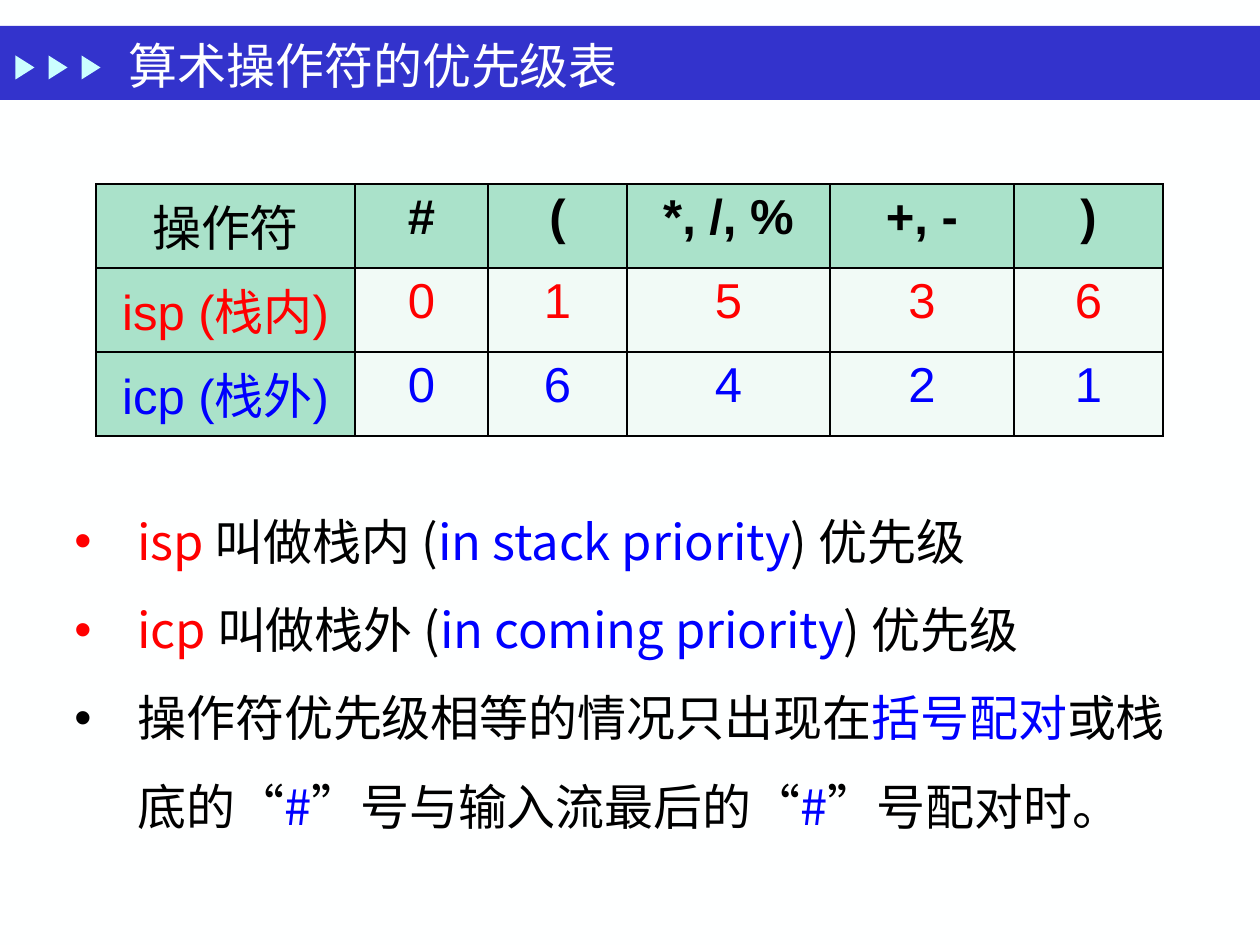
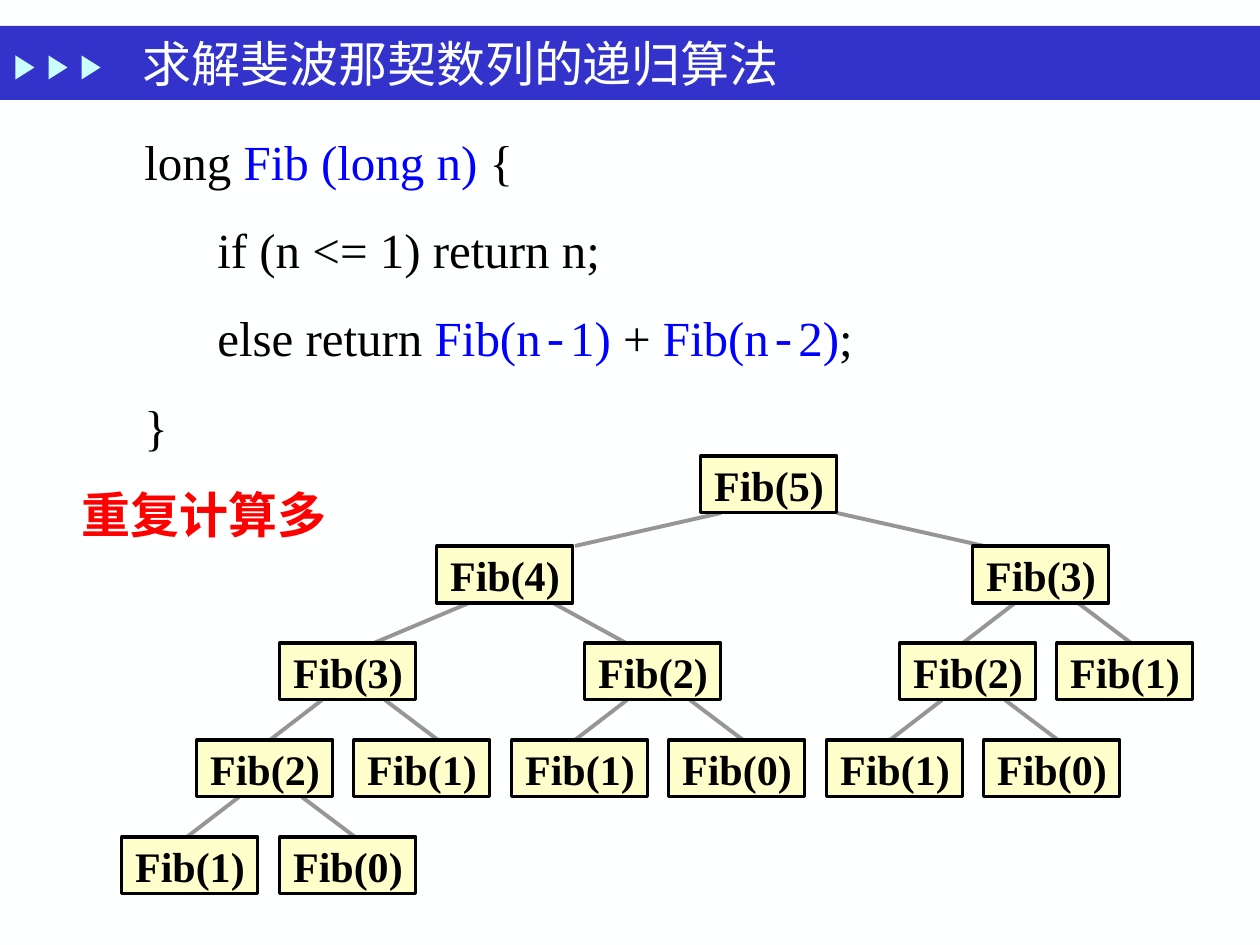
from pptx import Presentation
from pptx import util as u
from pptx.dml import color as c
from pptx.enum import shapes, text
from pptx.oxml import ns
from lxml import etree

COLORS = {"paper": "FEFFFF", "band": "3333CC", "arrow": "CBFFFF", "black": "000000",
          "red": "FF0000", "blue": "0000FF", "head": "AAE2CA", "cell": "F1FAF6",
          "node": "FFFFCC", "edge": "969696"}
RGB = {name: c.RGBColor.from_string(value) for name, value in COLORS.items()}
CJK, SERIF, SANS, MONO = "Noto Sans CJK SC", "Times New Roman", "Arial", "Courier New"
LINE_PITCH = u.Pt(50.4)


def px(*lengths):
    """Turn pixels (126 to the inch) into EMU."""
    values = [u.Emu(round(length * 914400 / 126)) for length in lengths]
    return values if len(values) > 1 else values[0]


def write(para, runs, font, size=28, bold=False):
    """Add runs given as (text, colour) or (text, colour, font)."""
    for words, ink, *own_font in runs:
        span = para.add_run()
        span.text = words
        formats = {"name": own_font[0] if own_font else font, "size": u.Pt(size), "bold": bold}
        for key, value in formats.items():
            setattr(span.font, key, value)
        span.font.color.rgb = RGB[ink]
        latin = span.font._element.find(ns.qn("a:latin"))
        east = etree.Element(ns.qn("a:ea"), typeface=CJK)
        latin.addnext(east)


deck = Presentation()
deck.slide_width, deck.slide_height = px(1260, 945)
layout = deck.slide_layouts[5]
backdrop = deck.slide_master.background.fill
backdrop.solid()
backdrop.fore_color.rgb = RGB["paper"]

# Both pages with their titles
pages = []
for title, left, top in [("算术操作符的优先级表", 116, 33), ("求解斐波那契数列的递归算法", 130, 31)]:
    page = deck.slides.add_slide(layout)
    box = page.shapes.title
    box.left, box.top, box.width, box.height = px(left, top, 1100, 63)
    frame = box.text_frame
    frame.auto_size = text.MSO_AUTO_SIZE.NONE
    frame.vertical_anchor = text.MSO_ANCHOR.MIDDLE
    frame.paragraphs[0].alignment = text.PP_ALIGN.LEFT
    write(frame.paragraphs[0], [(title, "paper")], CJK)
    pages.append(page)
priority_page, fib_page = pages

# Shared band and arrows, kept on the layout
RECT, TRIANGLE = shapes.MSO_SHAPE.RECTANGLE, shapes.MSO_SHAPE.ISOSCELES_TRIANGLE
decor = [(RECT, (0, 26, 1260, 74), "band", 0)]
decor += [(TRIANGLE, (13 + 33 * i, 58, 24, 19), "arrow", 90) for i in range(3)]
for kind, place, ink, turn in decor:
    shape = priority_page.shapes.add_shape(kind, *px(*place))
    shape.rotation = turn
    shape.shadow.inherit = False
    shape.fill.solid()
    shape.fill.fore_color.rgb = RGB[ink]
    shape.line.fill.background()
    layout.shapes.element.insert(2 + decor.index((kind, place, ink, turn)), shape.element)

# Priority table
rows = [["操作符", "#", "(", "*, /, %", "+, -", ")"],
        ["isp (栈内)", "0", "1", "5", "3", "6"],
        ["icp (栈外)", "0", "6", "4", "2", "1"]]
widths = [259, 133, 139, 203, 184, 149]
table = priority_page.shapes.add_table(3, 6, *px(96, 184, sum(widths), 252)).table
table.first_row = table.horz_banding = False
for column, width in zip(table.columns, widths):
    column.width = px(width)
for r, (values, ink) in enumerate(zip(rows, ["black", "red", "blue"])):
    table.rows[r].height = px(84)
    for col, value in enumerate(values):
        cell = table.cell(r, col)
        para = cell.text_frame.paragraphs[0]
        para.alignment = text.PP_ALIGN.CENTER
        write(para, [(value, ink)], SANS, bold=r == 0 and col > 0)
        for side in ("lnL", "lnR", "lnT", "lnB"):
            border = etree.SubElement(cell._tc.get_or_add_tcPr(), ns.qn("a:" + side), w="12700")
            fill = etree.SubElement(border, ns.qn("a:solidFill"))
            etree.SubElement(fill, ns.qn("a:srgbClr"), val=COLORS["black"])
        cell.fill.solid()
        cell.fill.fore_color.rgb = RGB["head" if r == 0 or col == 0 else "cell"]

# Notes below the table
notes = [
    [("isp ", "red"), ("叫做栈内 (", "black"), ("in stack priority", "blue"), (") 优先级", "black")],
    [("icp ", "red"), ("叫做栈外 (", "black"), ("in coming priority", "blue"), (") 优先级", "black")],
    [("操作符优先级相等的情况只出现在", "black"), ("括号配对", "blue"), ("或栈底的“", "black"),
     ("#", "blue"), ("”号与输入流最后的“", "black"), ("#", "blue"), ("”号配对时。", "black")],
]
# Code lines with their indents in pixels
code = [
    (63, [("long ", "black"), ("Fib (long n) ", "blue"), ("{", "black")]),
    (136, [("if (n <= 1) return n;", "black")]),
    (136, [("else return ", "black"), ("Fib(n", "blue"), ("-", "blue", MONO), ("1) ", "blue"),
           ("+ ", "black"), ("Fib(n", "blue"), ("-", "blue", MONO), ("2)", "blue"), (";", "black")]),
    (63, [("}", "black")]),
    (0, [("重复计算多", "red", CJK)]),
]
bodies = [(priority_page, (62, 476, 1136, 456), CJK, [(63, note) for note in notes], True),
          (fib_page, (69, 96, 1124, 462), SERIF, code, False)]
for page, place, font, lines, bulleted in bodies:
    frame = page.shapes.add_textbox(*px(*place)).text_frame
    frame.word_wrap = True
    for i, (indent, runs) in enumerate(lines):
        para = frame.add_paragraph() if i else frame.paragraphs[0]
        para.line_spacing = LINE_PITCH
        props = para._p.get_or_add_pPr()
        props.set("marL", str(px(indent)))
        if bulleted:
            props.set("indent", str(-px(indent)))
            etree.SubElement(props, ns.qn("a:buFont"), typeface=SANS)
            etree.SubElement(props, ns.qn("a:buChar"), char="•")
        write(para, runs, font, bold=indent == 0)

# Call tree: argument, level, left, and edges as (start, end) offsets from the left
NODE_W, NODE_H = 136, 57
level_tops = [456] + [546 + 97 * i for i in range(4)]
fork = [(42, -10), (105, 158)]
nodes = [
    (5, 0, 701, [(20, -126), (136, 283)]),
    (4, 1, 437, [(32, -63), (116, 189)]), (3, 1, 973, fork),
    (3, 2, 280, fork), (2, 2, 585, fork), (2, 2, 900, fork), (1, 2, 1057, []),
    (2, 3, 197, fork), (1, 3, 354, []), (1, 3, 512, []),
    (0, 3, 669, []), (1, 3, 827, []), (0, 3, 984, []),
    (1, 4, 122, []), (0, 4, 280, []),
]
for argument, level, left, edges in nodes:
    for start, end in edges:
        edge = fib_page.shapes.add_connector(
            shapes.MSO_CONNECTOR.STRAIGHT,
            *px(left + start, level_tops[level] + NODE_H, left + end, level_tops[level + 1]))
        edge.line.color.rgb = RGB["edge"]
        edge.line.width = u.Pt(2.25)
        etree.SubElement(edge.element.spPr, ns.qn("a:effectLst"))
for argument, level, left, edges in nodes:
    node = fib_page.shapes.add_shape(RECT, *px(left, level_tops[level], NODE_W, NODE_H))
    node.shadow.inherit = False
    node.fill.solid()
    node.fill.fore_color.rgb = RGB["node"]
    node.line.color.rgb = RGB["black"]
    node.line.width = u.Pt(1.75)
    frame = node.text_frame
    frame.word_wrap = False
    frame.vertical_anchor = text.MSO_ANCHOR.MIDDLE
    frame.paragraphs[0].alignment = text.PP_ALIGN.CENTER
    write(frame.paragraphs[0], [(f"Fib({argument})", "black")], SERIF, 24, True)

deck.save("out.pptx")
